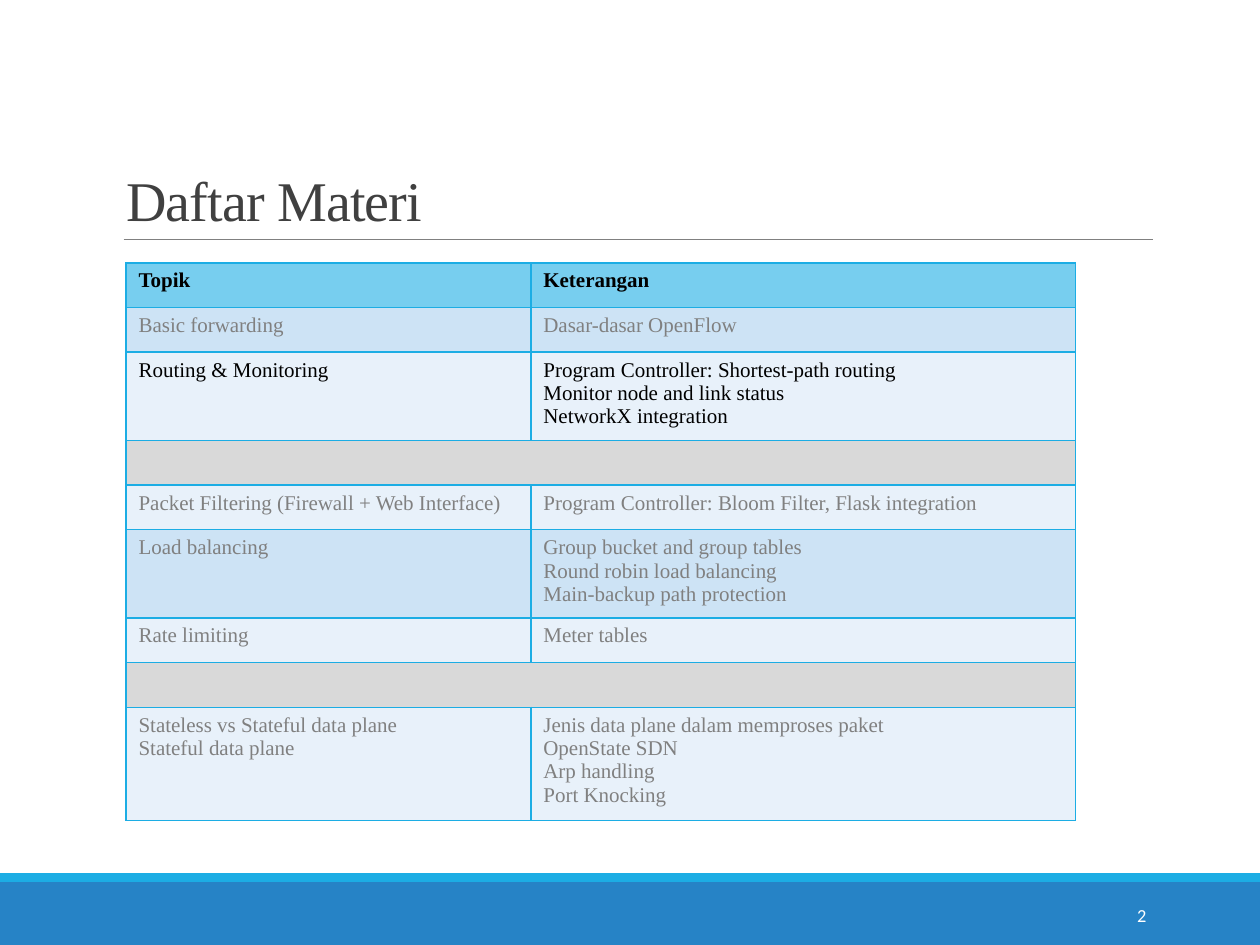
import dataclasses
import typing

import lxml.etree
import pptx
import pptx.dml.color
import pptx.enum.shapes
import pptx.enum.text
import pptx.oxml.ns
import pptx.util

Cm = pptx.util.Cm
Pt = pptx.util.Pt
qn = pptx.oxml.ns.qn

SERIF = "Times New Roman"
ACCENT = "1CADE4"
GREY = "808080"
HEADER = "77CEEF"
DARK_BAND = "CDE3F5"
LIGHT_BAND = "E8F1FA"
DIVIDER = "D9D9D9"
COLUMN_WIDTHS = (8.16, 10.98)
ROW_HEIGHT = 0.9


@dataclasses.dataclass(frozen=True)
class TopicRow:
    topic: str
    details: str
    fill: str
    color: str = GREY
    bold: bool = False


@dataclasses.dataclass(frozen=True)
class FooterBand:
    top: float
    height: float
    fill: str


SECTION_BREAK = TopicRow("", "", DIVIDER)
TOPICS = (
    TopicRow("Topik", "Keterangan", HEADER, "000000", True),
    TopicRow("Basic forwarding", "Dasar-dasar OpenFlow", DARK_BAND),
    TopicRow(
        "Routing & Monitoring",
        "Program Controller: Shortest-path routing\nMonitor node and link status\nNetworkX integration",
        LIGHT_BAND,
        "000000",
    ),
    SECTION_BREAK,
    TopicRow(
        "Packet Filtering (Firewall + Web Interface)",
        "Program Controller: Bloom Filter, Flask integration",
        LIGHT_BAND,
    ),
    TopicRow(
        "Load balancing",
        "Group bucket and group tables\nRound robin load balancing\nMain-backup path protection",
        DARK_BAND,
    ),
    TopicRow("Rate limiting", "Meter tables", LIGHT_BAND),
    SECTION_BREAK,
    TopicRow(
        "Stateless vs Stateful data plane\nStateful data plane",
        "Jenis data plane dalam memproses paket\nOpenState SDN\nArp handling\nPort Knocking",
        LIGHT_BAND,
    ),
)
FOOTER_BANDS = (
    FooterBand(17.78, 1.27, "2683C6"),
    FooterBand(17.6, 0.18, ACCENT),
)


def rgb(value: str) -> pptx.dml.color.RGBColor:
    return pptx.dml.color.RGBColor.from_string(value)


def set_font(paragraph: typing.Any, name: str, size: float, color: str, bold: bool = False) -> None:
    font = paragraph.font
    font.name = name
    font.size = Pt(size)
    font.bold = bold
    font.color.rgb = rgb(color)


def add_footer_band(slide: typing.Any, band: FooterBand) -> None:
    bar = slide.shapes.add_shape(
        pptx.enum.shapes.MSO_SHAPE.RECTANGLE, 0, Cm(band.top), Cm(25.4), Cm(band.height)
    )
    bar.shadow.inherit = False
    bar.fill.solid()
    bar.fill.fore_color.rgb = rgb(band.fill)
    bar.line.fill.background()


def add_title_rule(slide: typing.Any) -> None:
    rule = slide.shapes.add_connector(
        pptx.enum.shapes.MSO_CONNECTOR.STRAIGHT, Cm(2.49), Cm(4.83), Cm(23.24), Cm(4.83)
    )
    rule.line.color.rgb = rgb(GREY)
    rule.line.width = Pt(0.5)
    lxml.etree.SubElement(rule._element.spPr, qn("a:effectLst"))


def fill_title(slide: typing.Any, text: str) -> None:
    title = slide.shapes.title
    title.left, title.top, title.width, title.height = Cm(2.29), Cm(0.79), Cm(20.96), Cm(4.04)
    frame = title.text_frame
    frame.text = text
    frame.word_wrap = True
    frame.auto_size = pptx.enum.text.MSO_AUTO_SIZE.NONE
    frame.vertical_anchor = pptx.enum.text.MSO_ANCHOR.BOTTOM
    heading = frame.paragraphs[0]
    heading.alignment = pptx.enum.text.PP_ALIGN.LEFT
    heading.line_spacing = 0.85
    set_font(heading, SERIF, 32, "404040")
    heading.runs[0].font._element.set("spc", "-50")


def add_page_number(slide: typing.Any, number: str) -> None:
    frame = slide.shapes.add_textbox(Cm(20.62), Cm(17.93), Cm(2.74), Cm(1.02)).text_frame
    frame.word_wrap = True
    frame.vertical_anchor = pptx.enum.text.MSO_ANCHOR.MIDDLE
    frame.text = number
    frame.paragraphs[0].alignment = pptx.enum.text.PP_ALIGN.RIGHT
    set_font(frame.paragraphs[0], "Calibri", 10.5, "FFFFFF")


def set_borders(cell: typing.Any, color: str, width: float) -> None:
    properties = cell._tc.get_or_add_tcPr()
    for position, side in enumerate(("lnL", "lnR", "lnT", "lnB")):
        border = lxml.etree.Element(qn(f"a:{side}"), w=str(Pt(width)))
        line_fill = lxml.etree.SubElement(border, qn("a:solidFill"))
        lxml.etree.SubElement(line_fill, qn("a:srgbClr"), val=color)
        properties.insert(position, border)


def fill_cell(cell: typing.Any, text: str, row: TopicRow) -> None:
    cell.text = text
    for paragraph in cell.text_frame.paragraphs:
        set_font(paragraph, SERIF, 12, row.color, row.bold)
    cell.fill.solid()
    cell.fill.fore_color.rgb = rgb(row.fill)
    set_borders(cell, ACCENT, 1)


def add_topic_table(slide: typing.Any, topics: typing.Sequence[TopicRow]) -> None:
    table = slide.shapes.add_table(
        len(topics), len(COLUMN_WIDTHS), Cm(2.54), Cm(5.3),
        Cm(sum(COLUMN_WIDTHS)), Cm(ROW_HEIGHT * len(topics)),
    ).table
    for column, width in zip(table.columns, COLUMN_WIDTHS):
        column.width = Cm(width)
    for index, row in enumerate(topics):
        table.rows[index].height = Cm(ROW_HEIGHT)
        for column, text in enumerate((row.topic, row.details)):
            fill_cell(table.cell(index, column), text, row)
        if row is SECTION_BREAK:
            table.cell(index, 0).merge(table.cell(index, 1))


def main() -> None:
    presentation = pptx.Presentation()
    presentation.slide_width, presentation.slide_height = Cm(25.4), Cm(19.05)
    slide = presentation.slides.add_slide(presentation.slide_layouts[5])
    for band in FOOTER_BANDS:
        add_footer_band(slide, band)
    add_title_rule(slide)
    fill_title(slide, "Daftar Materi")
    add_page_number(slide, "2")
    add_topic_table(slide, TOPICS)
    presentation.save("out.pptx")


if __name__ == "__main__":
    main()
